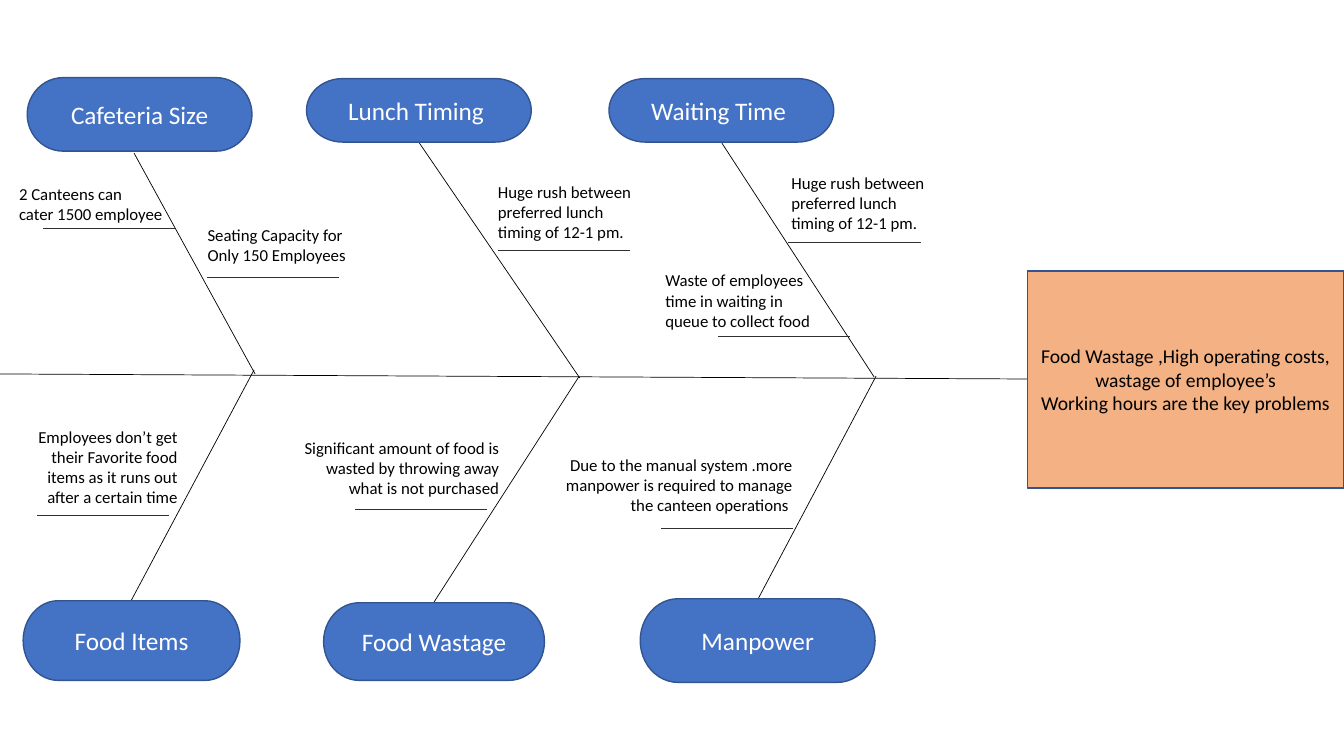
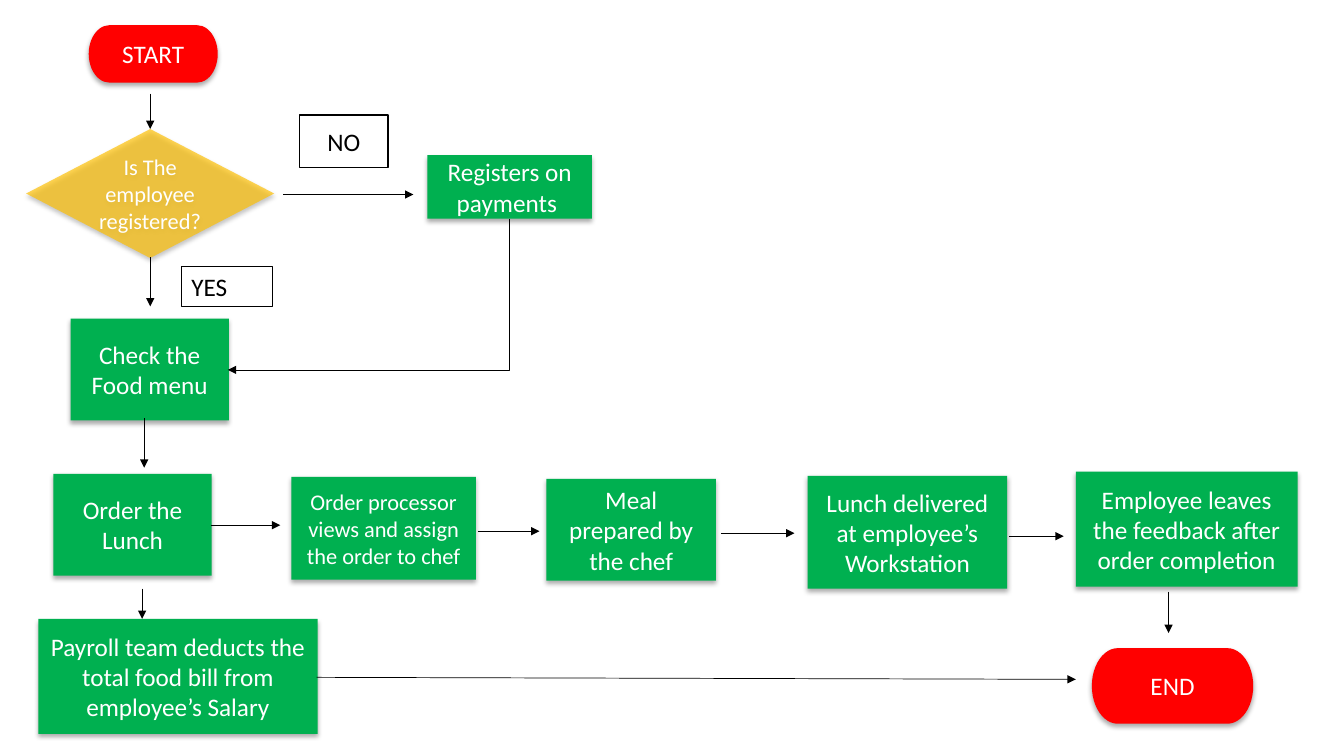
"""Build a fishbone diagram and a flowchart of the canteen process."""
from lxml import etree
from pptx import Presentation
from pptx.dml.color import RGBColor
from pptx.enum import shapes, text
from pptx.oxml import parse_xml
from pptx.oxml.ns import nsdecls, qn
from pptx.util import Inches, Pt

FONT = "Calibri"
BLACK = RGBColor(0, 0, 0)
WHITE = RGBColor(255, 255, 255)
DARK = RGBColor(0x33, 0x2E, 0x34)
BLUE = RGBColor(0x44, 0x72, 0xC4)
NAVY = RGBColor(0x32, 0x54, 0x91)
PEACH = RGBColor(0xF4, 0xB1, 0x83)
RED = RGBColor(255, 0, 0)
AMBER = RGBColor(255, 0xC0, 0)
GREEN = RGBColor(0, 0xB0, 0x50)

SHAPE = shapes.MSO_SHAPE
LEFT, CENTER, RIGHT = text.PP_ALIGN.LEFT, text.PP_ALIGN.CENTER, text.PP_ALIGN.RIGHT
UNDERLINE = 1.31

SPINE = (0, 3.71, 10.19, 3.76)
EFFECT = ["Food Wastage ,High operating costs, wastage of employee’s",
          "Working hours are the key problems"]
EFFECT_BOX = (10.19, 2.69, 3.14, 2.15)
CAUSES = [
    ("Cafeteria Size", (0.27, 0.77, 2.23, 0.73), (1.33, 1.52, 2.53, 3.71)),
    ("Lunch Timing ", (3.04, 0.78, 2.23, 0.63), (4.16, 1.42, 5.75, 3.75)),
    ("Waiting Time ", (6.04, 0.78, 2.23, 0.63), (7.16, 1.42, 8.67, 3.74)),
    ("Food Items", (0.23, 5.96, 2.15, 0.79), (2.52, 3.67, 1.3, 5.96)),
    ("Food Wastage", (3.21, 5.98, 2.19, 0.77), (5.74, 3.74, 4.3, 5.98)),
    ("Manpower", (6.35, 5.94, 2.33, 0.83), (8.69, 3.73, 7.52, 5.94)),
]
RUSH = ["Huge rush between preferred lunch timing of 12-1 pm."]
NOTES = [
    (["2 Canteens can", "cater 1500 employee"], (0.09, 1.77, 1.71, 0.5), LEFT, (0.43, 2.27)),
    (["Seating Capacity for Only 150 Employees"], (1.96, 2.18, 1.71, 0.5), LEFT, (2.05, 2.75)),
    (RUSH, (4.84, 1.75, 1.71, 0.71), LEFT, (4.94, 2.48)),
    (RUSH, (7.75, 1.66, 1.71, 0.71), LEFT, (7.82, 2.4)),
    (["Waste of employees time in waiting in queue to collect food"],
     (6.5, 2.63, 1.71, 0.71), LEFT, (7.12, 3.34)),
    (["Employees don’t get their Favorite food items as it runs out after a certain time"],
     (0.14, 4.18, 1.72, 0.91), RIGHT, (0.37, 5.11)),
    (["Significant amount of food is wasted by throwing away what is not purchased"],
     (2.8, 4.29, 2.25, 0.71), RIGHT, (3.52, 5.05)),
    (["Due to the manual system .more manpower is required to manage the canteen operations "],
     (5.4, 4.46, 2.56, 0.71), RIGHT, (6.56, 5.24)),
]

TERMINALS = [("START", (0.88, 0.25, 1.28, 0.57)), ("END", (10.83, 6.43, 1.6, 0.75))]
DECISION = ("Is The employee registered?", (0.26, 1.28, 2.46, 1.28))
STEPS = [
    ("Check the Food menu", (0.7, 3.16, 1.57, 1.01), 18),
    ("Order the Lunch", (0.53, 4.7, 1.57, 1.01), 18),
    ("Payroll team deducts the total food bill from employee’s Salary",
     (0.38, 6.14, 2.77, 1.14), 18),
    ("Registers on payments ", (4.24, 1.54, 1.63, 0.63), 18),
    ("Order processor views and assign the order to chef", (2.89, 4.73, 1.83, 1.02), 16),
    ("Meal prepared by the chef", (5.42, 4.75, 1.68, 1.01), 18),
    ("Lunch delivered at employee’s Workstation", (8.01, 4.72, 1.98, 1.12), 18),
    ("Employee leaves the feedback after order completion", (10.67, 4.68, 2.2, 1.14), 18),
]
ARROWS = [
    (1.49, 0.93, 1.49, 1.28), (1.49, 2.55, 1.49, 3.04), (1.43, 4.15, 1.43, 4.64),
    (1.41, 5.84, 1.41, 6.14), (2.09, 5.21, 2.78, 5.21), (4.74, 5.27, 5.35, 5.27),
    (7.15, 5.29, 7.88, 5.29), (10.01, 5.32, 10.55, 5.32), (11.59, 5.87, 11.59, 6.28),
    (3.14, 6.72, 10.67, 6.74), (2.81, 1.93, 4.1, 1.93),
]
RETURN_ARROW = (5.05, 2.17, 2.26, 3.67)
ANSWERS = [
    ("NO", (2.97, 1.14, 0.88, 0.52), CENTER, text.MSO_ANCHOR.MIDDLE, 1),
    ("YES", (1.8, 2.64, 0.9, 0.4), LEFT, text.MSO_ANCHOR.TOP, 0.75),
]


def write(sp, paragraphs, size, color, align=CENTER, anchor=text.MSO_ANCHOR.MIDDLE):
    tf = sp.text_frame
    tf.word_wrap = True
    tf.vertical_anchor = anchor
    for i, words in enumerate(paragraphs):
        p = tf.add_paragraph() if i else tf.paragraphs[0]
        p.alignment = align
        r = p.add_run()
        r.text = words
        r.font.name, r.font.size, r.font.color.rgb = FONT, Pt(size), color


def add_box(s, kind, box, fill, line=None, width=1):
    sp = s.shapes.add_shape(kind, *map(Inches, box))
    sp.shadow.inherit = False
    sp.fill.solid()
    sp.fill.fore_color.rgb = fill
    if line is None:
        sp.line.fill.background()
    else:
        sp.line.color.rgb = line
        sp.line.width = Pt(width)
    return sp


def add_note(s, paragraphs, box, align):
    sp = s.shapes.add_textbox(*map(Inches, box))
    write(sp, paragraphs, 12, BLACK, align, text.MSO_ANCHOR.TOP)
    sp.text_frame.auto_size = text.MSO_AUTO_SIZE.SHAPE_TO_FIT_TEXT


def add_line(s, ends, color=BLACK, arrow=False, kind=shapes.MSO_CONNECTOR.STRAIGHT):
    cx = s.shapes.add_connector(kind, *map(Inches, ends))
    cx.line.color.rgb = color
    cx.line.width = Pt(0.5)
    if arrow:
        etree.SubElement(cx.line._get_or_add_ln(), qn("a:tailEnd"), type="triangle")
    etree.SubElement(cx._element.spPr, qn("a:effectLst"))
    return cx


def add_return_arrow(s, x1, y1, x2, y2):
    mid_x, mid_y = (x1 + x2) / 2, (y1 + y2) / 2
    half_w, half_h = (y2 - y1) / 2, (x1 - x2) / 2
    ends = (mid_x - half_w, mid_y - half_h, mid_x + half_w, mid_y + half_h)
    cx = add_line(s, ends, arrow=True, kind=shapes.MSO_CONNECTOR.ELBOW)
    spPr = cx._element.spPr
    spPr.find(qn("a:xfrm")).set("rot", "5400000")
    spPr.find(qn("a:prstGeom")).set("prst", "bentConnector2")


def add_step(s, kind, words, box, fill, size=18):
    sp = add_box(s, kind, box, fill)
    spPr = sp._element.spPr
    spPr.remove(spPr.find(qn("a:effectLst")))
    spPr.append(parse_xml(
        f'<a:effectLst {nsdecls("a")}><a:outerShdw blurRad="{Pt(3.5)}" dist="{Pt(2.2)}" '
        'dir="5400000" algn="ctr" rotWithShape="0"><a:srgbClr val="000000">'
        '<a:alpha val="32000"/></a:srgbClr></a:outerShdw></a:effectLst>'))
    write(sp, [words], size, WHITE)
    return sp


def build_fishbone(s):
    add_line(s, SPINE)
    for _, _, bone in CAUSES:
        add_line(s, bone)
    write(add_box(s, SHAPE.RECTANGLE, EFFECT_BOX, PEACH, NAVY), EFFECT, 14, BLACK)
    for name, box, _ in CAUSES:
        write(add_box(s, SHAPE.FLOWCHART_TERMINATOR, box, BLUE, NAVY), [name], 18, WHITE)
    for paragraphs, box, align, (x, y) in NOTES:
        add_line(s, (x + UNDERLINE, y, x, y), DARK)
        add_note(s, paragraphs, box, align)


def build_flowchart(s):
    for words, box in TERMINALS:
        add_step(s, SHAPE.FLOWCHART_TERMINATOR, words, box, RED)
    decision = add_step(s, SHAPE.FLOWCHART_DECISION, *DECISION, AMBER, 16)
    color = decision._element.spPr.find(qn("a:solidFill"))[0]
    etree.SubElement(color, qn("a:alpha"), val="68000")
    for words, box, size in STEPS:
        add_step(s, SHAPE.RECTANGLE, words, box, GREEN, size)
    for ends in ARROWS:
        add_line(s, ends, arrow=True)
    add_return_arrow(s, *RETURN_ARROW)
    for words, box, align, anchor, width in ANSWERS:
        sp = add_box(s, SHAPE.RECTANGLE, box, WHITE, BLACK, width)
        write(sp, [words], 18, BLACK, align, anchor)


def main():
    prs = Presentation()
    prs.slide_width, prs.slide_height = Inches(13.33), Inches(7.5)
    for build in (build_fishbone, build_flowchart):
        build(prs.slides.add_slide(prs.slide_layouts[6]))
    prs.save("out.pptx")


if __name__ == "__main__":
    main()
